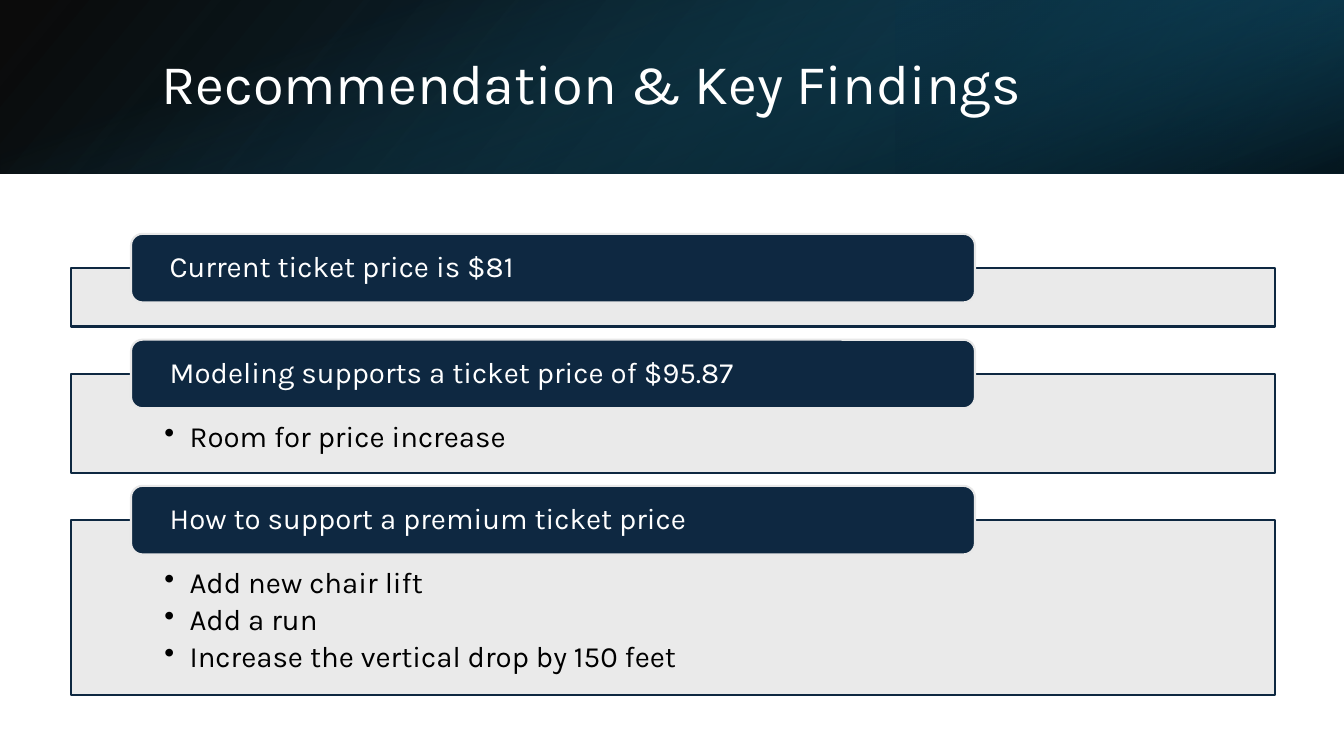
from lxml import etree
from pptx import Presentation
from pptx import util as u
from pptx.dml import color
from pptx.enum import shapes, text
from pptx.oxml import ns

RECT = shapes.MSO_SHAPE.RECTANGLE
ROUNDED = shapes.MSO_SHAPE.ROUNDED_RECTANGLE


def rgb(value):
    return color.RGBColor.from_string(value)


def add_xml(parent, tag, **attributes):
    element = etree.SubElement(parent, ns.qn(tag))
    for name, value in attributes.items():
        element.set(name, str(value))
    return element


class Deck:
    font = "Karla"
    navy, grey, white, black = "0E2841", "E8E8E8", "FFFFFF", "000000"

    def __init__(self, width, height):
        self.prs = Presentation()
        self.prs.slide_width = u.Inches(width)
        self.prs.slide_height = u.Inches(height)
        self.slide = self.prs.slides.add_slide(self.prs.slide_layouts[6])

    def shape(self, kind, box):
        item = self.slide.shapes.add_shape(kind, *map(u.Inches, box))
        item.shadow.inherit = False
        return item

    def gradient(self, box, stops, angle, rotation=0, flip=False):
        """Rectangle with stops of (position %, colour, opacity %)."""
        layer = self.shape(RECT, box)
        layer.line.fill.background()
        layer.rotation = rotation
        properties = layer._element.spPr
        if flip:
            properties.find(ns.qn("a:xfrm")).set("flipH", "1")
        fill = etree.Element(ns.qn("a:gradFill"), rotWithShape="1")
        properties.find(ns.qn("a:prstGeom")).addnext(fill)
        stop_list = add_xml(fill, "a:gsLst")
        for position, value, opacity in stops:
            stop = add_xml(stop_list, "a:gs", pos=position * 1000)
            tint = add_xml(stop, "a:srgbClr", val=value)
            add_xml(tint, "a:alpha", val=opacity * 1000)
        add_xml(fill, "a:lin", ang=angle * 60000, scaled=0)

    def box(self, kind, box, fill, line, opacity=100):
        item = self.shape(kind, box)
        item.fill.solid()
        item.fill.fore_color.rgb = rgb(fill)
        if opacity < 100:
            tint = item._element.spPr.find(ns.qn("a:solidFill"))[0]
            add_xml(tint, "a:alpha", val=opacity * 1000)
        item.line.color.rgb = rgb(line)
        item.line.width = u.Pt(1.5)
        return item

    def set_text(self, item, lines, size, colour, insets,
                 anchor=text.MSO_ANCHOR.MIDDLE, bullets=False):
        frame = item.text_frame
        frame.word_wrap = True
        frame.vertical_anchor = anchor
        (frame.margin_left, frame.margin_top,
         frame.margin_right, frame.margin_bottom) = map(u.Inches, insets)
        frame.text = "\n".join(lines)
        for paragraph in frame.paragraphs:
            paragraph.alignment = text.PP_ALIGN.LEFT
            paragraph.line_spacing = 0.9
            paragraph.font.name = self.font
            paragraph.font.size = u.Pt(size)
            paragraph.font.color.rgb = rgb(colour)
            if bullets:
                self.bullet(paragraph)

    def bullet(self, paragraph):
        paragraph.space_after = u.Pt(3.7)
        properties = paragraph._p.get_or_add_pPr()
        properties.set("marL", str(u.Inches(0.25)))
        properties.set("indent", str(-u.Inches(0.25)))
        mark = etree.Element(ns.qn("a:buChar"), char="•")
        properties.find(ns.qn("a:spcAft")).addnext(mark)

    def title(self, box, wording):
        heading = self.slide.shapes.add_textbox(*map(u.Inches, box))
        self.set_text(heading, [wording], 40, self.white,
                      (0.1, 0.05, 0.1, 0.05))

    def finding(self, top, height, label, points):
        panel = self.box(RECT, (0.7, top, 11.95, height),
                         self.grey, self.navy, opacity=90)
        if points:
            self.set_text(panel, points, 21, self.black,
                          (0.93, 0.48, 0.93, 0.16),
                          anchor=text.MSO_ANCHOR.TOP, bullets=True)
        tab = self.box(ROUNDED, (1.3, top - 0.34, 8.37, 0.68),
                       self.navy, self.grey)
        self.set_text(tab, [label], 21, self.white, (0.35, 0, 0.35, 0))


def main():
    width, band = 13.33, 1.72
    deck = Deck(width, 7.5)

    # Header band: three gradient layers
    deck.gradient((0, 0, width, band),
                  [(0, "000000", 96), (100, "104862", 100)], 140, flip=True)
    deck.gradient((width * 2 / 3, 0, width / 3, band),
                  [(19, "0B3041", 68), (100, "156082", 79)], 320,
                  rotation=180, flip=True)
    offset = (width - band) / 2
    deck.gradient((offset, -offset, band, width),
                  [(23, "156082", 0), (99, "000000", 74)], 340, rotation=90)
    deck.title((1.5, 0.38, 10.98, 0.96), "Recommendation & Key Findings")

    # Findings, stacked with an equal gap
    findings = [
        (0.58, "Current ticket price is $81", []),
        (0.98, "Modeling supports a ticket price of $95.87",
         ["Room for price increase"]),
        (1.74, "How to support a premium ticket price",
         ["Add new chair lift", "Add a run",
          "Increase the vertical drop by 150 feet"]),
    ]
    top, gap = 2.66, 0.47
    for height, label, points in findings:
        deck.finding(top, height, label, points)
        top += height + gap

    deck.prs.save("out.pptx")


if __name__ == "__main__":
    main()
